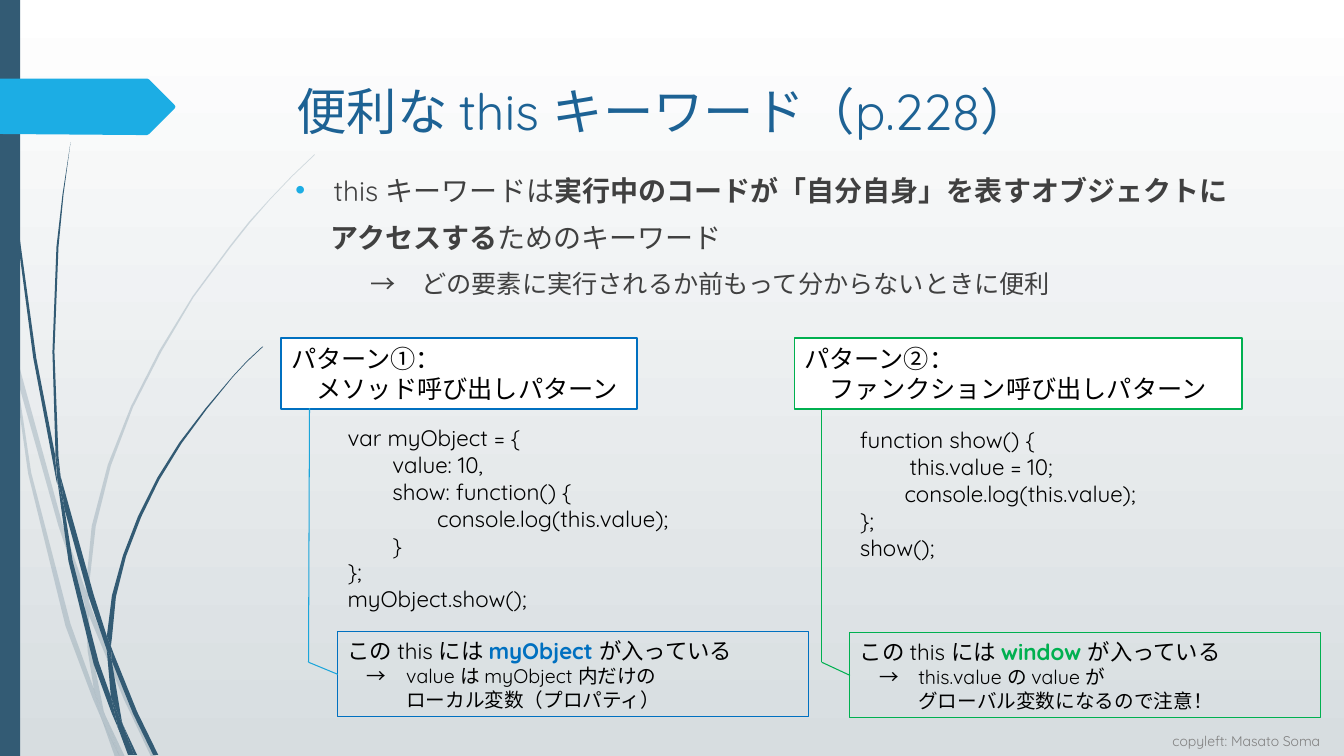
from lxml.etree import SubElement
from pptx import Presentation
from pptx.dml.color import RGBColor
from pptx.enum.shapes import MSO_CONNECTOR as Connector, MSO_SHAPE as Preset
from pptx.enum.text import MSO_ANCHOR as Anchor, PP_ALIGN as Align
from pptx.oxml.ns import qn
from pptx.util import Pt

PX = 9144  # 100 px to the inch
FONT = "Quicksand"
COLORS = {
    "top": "FFFFFF", "bottom": "D7DDE0", "grass": "335B74", "tab": "1CADE4",
    "title": "1D6294", "body": "404040", "footer": "808080", "text": "000000",
    "white": "FFFFFF", "blue": "0070C0", "green": "00B050", "link": "1BA5DA",
}

PALE_BLADES = [
    [(11, 350), (9, 322), (0, 282), (0, 299), (10, 344)],
    [(58, 522), (84, 599), (85, 586), (62, 520), (14, 345), (17, 376)],
    [(92, 607), (88, 596), (88, 610), (123, 694), (150, 751), (155, 751), (127, 692)],
    [(119, 751), (124, 751), (105, 711)],
    [(93, 683), (70, 619), (31, 469), (17, 376), (11, 350), (28, 470), (65, 621),
     (92, 693), (101, 714), (99, 707)],
    [(84, 599), (87, 646), (93, 683), (96, 692), (105, 711), (103, 706), (91, 646),
     (88, 610), (88, 608)],
    [(88, 584), (95, 522), (110, 462), (132, 404), (160, 349), (192, 295), (229, 245),
     (248, 221), (268, 198), (290, 175), (312, 154), (312, 153), (289, 175), (268, 197),
     (247, 220), (228, 244), (191, 294), (158, 348), (130, 403), (107, 461), (91, 522),
     (85, 584), (85, 586), (88, 596)],
    [(101, 714), (114, 751), (119, 751)],
    [(88, 608), (88, 610), (88, 596), (85, 586), (84, 599)],
    [(96, 692), (93, 683), (99, 707), (101, 714), (119, 751), (105, 711)],
]
DARK_BLADES = [
    [(7, 110), (17, 233), (33, 355), (56, 477), (57, 481), (55, 457), (55, 453),
     (36, 355), (19, 232), (8, 109), (5, 48), (4, 0), (3, 0), (4, 48)],
    [(88, 592), (106, 645), (106, 633), (106, 631), (93, 590), (60, 472), (64, 505)],
    [(113, 649), (110, 641), (111, 656), (132, 708), (152, 749), (157, 749), (136, 706)],
    [(110, 691), (98, 657), (72, 556), (64, 505), (57, 477), (68, 557), (93, 659),
     (111, 708), (117, 722), (116, 717)],
    [(60, 472), (58, 453), (54, 349), (58, 245), (63, 193), (70, 141), (62, 193),
     (56, 245), (52, 349), (55, 449)],
    [(133, 749), (136, 749), (122, 719)],
    [(57, 477), (64, 505), (60, 472), (55, 449), (55, 453)],
    [(111, 633), (115, 592), (125, 552), (140, 513), (158, 476), (180, 440), (205, 406),
     (231, 374), (245, 359), (261, 344), (260, 344), (245, 358), (231, 373), (204, 405),
     (178, 439), (156, 474), (137, 512), (122, 551), (111, 591), (106, 631), (110, 641)],
    [(117, 722), (127, 749), (131, 749)],
    [(106, 645), (110, 691), (116, 706), (122, 719), (121, 716), (111, 656), (109, 651)],
    [(106, 645), (109, 651), (111, 656), (110, 641), (106, 631), (106, 633)],
    [(116, 706), (110, 691), (116, 717), (117, 722), (130, 749), (133, 749), (122, 719)],
]
TAB = [(173, 108), (148, 133), (146, 134), (136, 134), (0, 133), (0, 78), (146, 78),
       (148, 79), (173, 104), (174, 106)]

# A line of text is (spans, size, left indent); a span is (text, color, bold).
TITLE = [([("便利な this キーワード（p.228）", "title", False)], 36, 0)]
BODY = [
    ([("this キーワードは", "body", False),
      ("実行中のコードが「自分自身」を表すオブジェクトに", "body", True)], 20, 38),
    ([("アクセスする", "body", True), ("ためのキーワード", "body", False)], 20, 35),
    ([("→　どの要素に実行されるか前もって分からないときに便利", "body", False)], 18, 75),
]
FOOTER = [([("copyleft: Masato Soma", "footer", False)], 10, 0)]

PATTERNS = [
    {"color": "blue", "link": "link", "label": ["パターン①：", "メソッド呼び出しパターン"],
     "label_at": (279, 335, 353, 71), "code_at": (335, 416, 392, 202),
     "note_at": (335, 627, 467, 84), "stem": [(307, 405), (306, 657), (335, 669)],
     "code": ["var myObject = {", "　　value: 10,", "　　show: function() {",
              "　　　　console.log(this.value);", "　　}", "};", "myObject.show();"],
     "holder": "myObject ",
     "effect": ["→　value は myObject 内だけの", "ローカル変数（プロパティ）"]},
    {"color": "green", "link": "green", "label": ["パターン②：", "ファンクション呼び出しパターン"],
     "label_at": (788, 335, 444, 71), "code_at": (843, 418, 340, 145),
     "note_at": (843, 628, 467, 84), "stem": [(815, 405), (815, 657), (843, 670)],
     "code": ["function show() {", " 　　this.value = 10;",
              "　　console.log(this.value);", "};", "show();"],
     "holder": "window ",
     "effect": ["→　this.value の value が", "グローバル変数になるので注意！"]},
]


def rgb(name):
    return RGBColor.from_string(COLORS[name])


def emu(lengths):
    return [length * PX for length in lengths]


def plain(text, size, indent=0):
    return [(text, "text", False)], size, indent


def write(shape, lines, anchor=Anchor.TOP, before=0):
    frame = shape.text_frame
    frame.word_wrap = True
    frame.vertical_anchor = anchor
    for index, (spans, size, indent) in enumerate(lines):
        para = frame.add_paragraph() if index else frame.paragraphs[0]
        para.alignment = Align.LEFT
        para.space_before = Pt(before if index else 0)
        if indent:
            para._p.get_or_add_pPr().set("marL", str(indent * PX))
        for text, color, bold in spans:
            span = para.add_run()
            span.text = text
            span.font.name = FONT
            span.font.size = Pt(size)
            span.font.bold = bold
            span.font.color.rgb = rgb(color)


def add_text(page, at, lines, **options):
    box = page.shapes.add_textbox(*emu(at))
    write(box, lines, **options)
    return box


def add_box(page, at, fill=None, line=None, width=0.75):
    box = page.shapes.add_shape(Preset.RECTANGLE, *emu(at))
    return paint(box, fill, line, width)


def paint(shape, fill=None, line=None, width=0.75):
    shape.shadow.inherit = False
    if fill:
        shape.fill.solid()
        shape.fill.fore_color.rgb = rgb(fill)
    else:
        shape.fill.background()
    if line:
        shape.line.color.rgb = rgb(line)
        shape.line.width = Pt(width)
    else:
        shape.line.fill.background()
    return shape


def add_outline(page, points, fill, opacity=100):
    builder = page.shapes.build_freeform(*points[0], scale=PX)
    builder.add_line_segments(points[1:], close=True)
    shape = paint(builder.convert_to_shape(), fill)
    if opacity < 100:
        color = shape._element.spPr.find(qn("a:solidFill"))[0]
        SubElement(color, qn("a:alpha")).set("val", str(opacity * 1000))


def add_line(page, start, end, color):
    line = page.shapes.add_connector(Connector.STRAIGHT, *emu(start + end))
    line.line.color.rgb = rgb(color)
    line.line.width = Pt(0.75)
    SubElement(line._element.spPr, qn("a:effectLst"))


def add_bullet(para, hang):
    props = para._p.get_or_add_pPr()
    props.set("indent", str(-hang * PX))
    color = SubElement(props, qn("a:buClr"))
    SubElement(color, qn("a:srgbClr")).set("val", COLORS["tab"])
    SubElement(props, qn("a:buFont")).set("typeface", "Arial")
    SubElement(props, qn("a:buChar")).set("char", "•")


def add_pattern(page, pattern):
    color = pattern["color"]
    first, second = pattern["effect"]
    note = [([("この this には ", "text", False), (pattern["holder"], color, True),
              ("が入っている", "text", False)], 16, 0),
            plain(first, 14, 19), plain(second, 14, 58)]
    write(add_box(page, pattern["note_at"], line=color), note, Anchor.MIDDLE)
    heading, name = pattern["label"]
    label = add_box(page, pattern["label_at"], "white", color, 1.25)
    write(label, [plain(heading, 18), plain(name, 18, 25)], Anchor.MIDDLE)
    add_text(page, pattern["code_at"], [plain(row, 16) for row in pattern["code"]])
    stem = pattern["stem"]
    for start, end in zip(stem, stem[1:]):
        add_line(page, start, end, pattern["link"])


def main():
    deck = Presentation()
    deck.slide_width, deck.slide_height = emu((1333, 750))
    page = deck.slides.add_slide(deck.slide_layouts[6])
    back = page.background.fill
    back.gradient()
    back.gradient_angle = 270
    for stop, name in zip(back.gradient_stops, ("top", "bottom")):
        stop.color.rgb = rgb(name)

    for blades, opacity in ((PALE_BLADES, 20), (DARK_BLADES, 100)):
        for blade in blades:
            add_outline(page, blade, "grass", opacity)
    add_box(page, (0, 0, 20, 750), "grass")
    add_text(page, (1153, 722, 181, 28), FOOTER)
    add_outline(page, TAB, "tab")

    add_text(page, (284, 68, 975, 82), TITLE, anchor=Anchor.MIDDLE)
    body = add_text(page, (283, 167, 1009, 94), BODY, before=10)
    add_bullet(body.text_frame.paragraphs[0], 38)
    for pattern in PATTERNS:
        add_pattern(page, pattern)
    deck.save("out.pptx")


if __name__ == "__main__":
    main()
